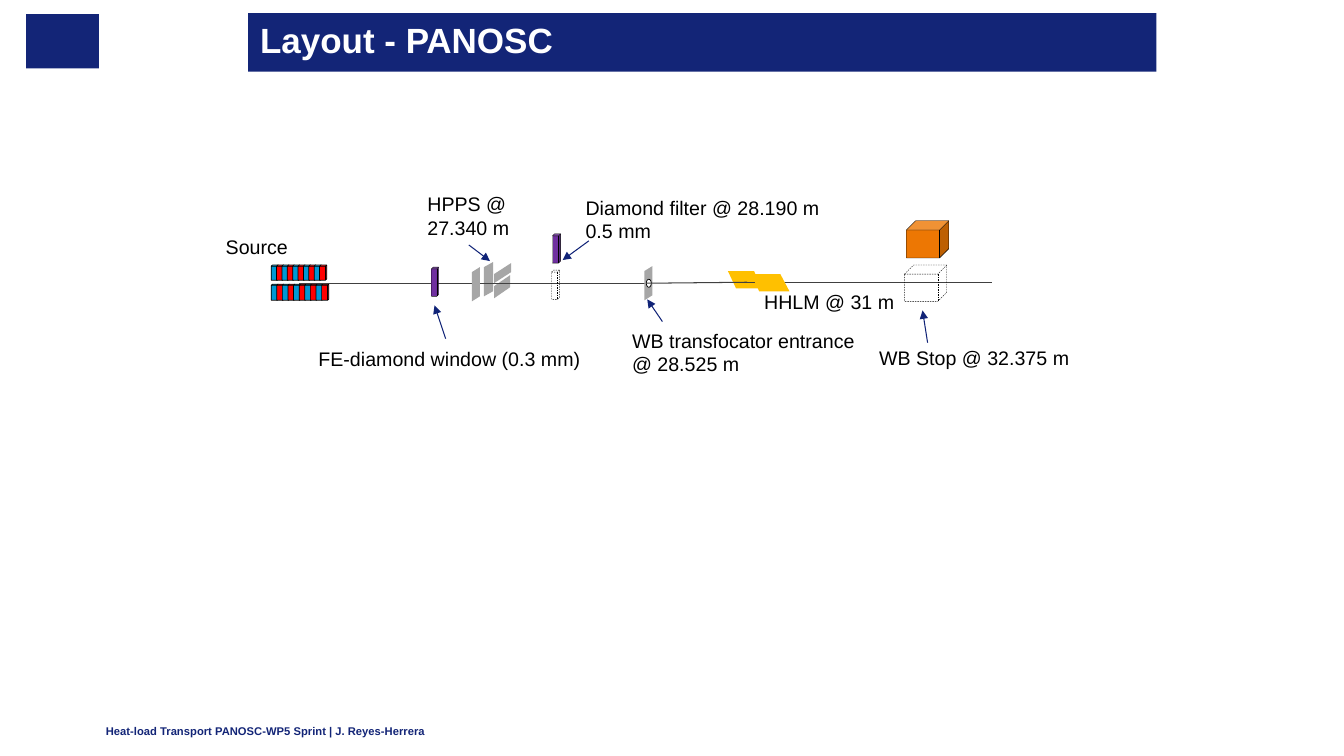
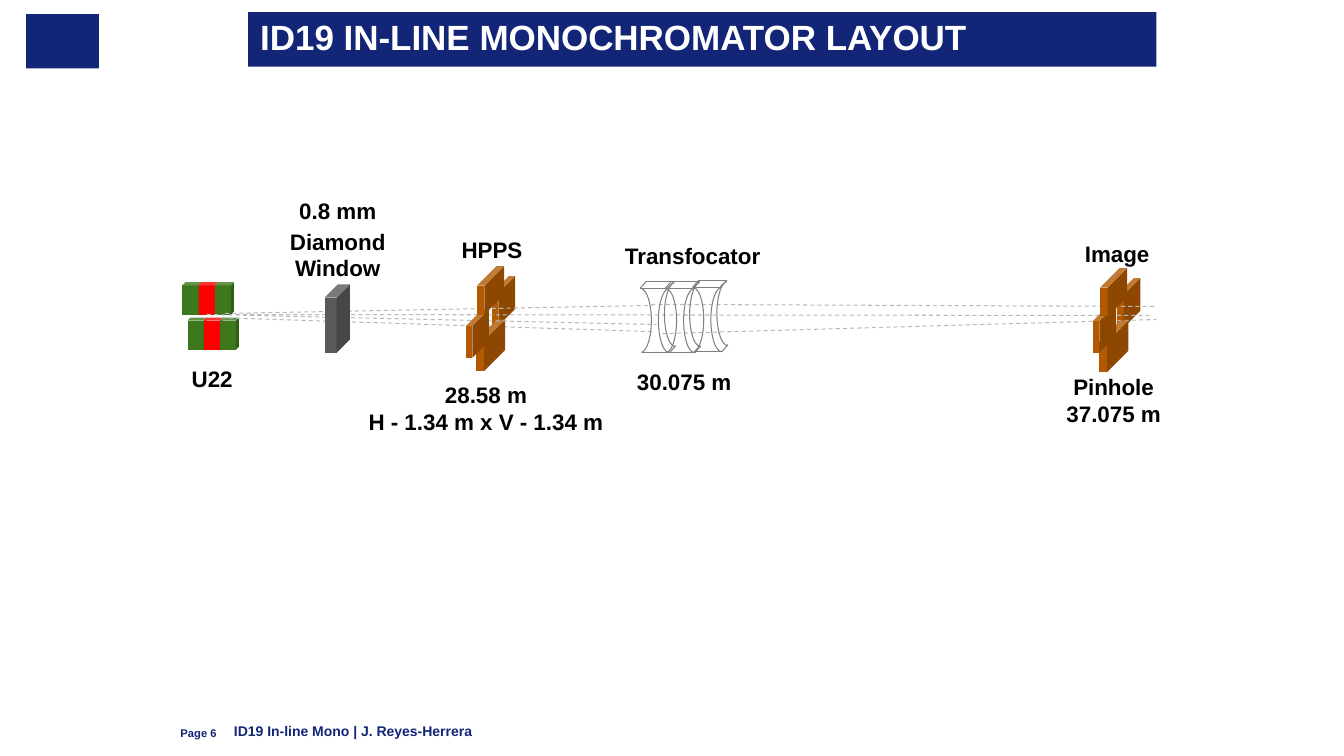
from lxml.etree import SubElement
from pptx import Presentation
from pptx.dml.color import RGBColor
from pptx.enum.dml import MSO_LINE
from pptx.enum.shapes import MSO_CONNECTOR, MSO_SHAPE
from pptx.enum.text import MSO_ANCHOR, MSO_AUTO_SIZE, PP_ALIGN
from pptx.oxml.ns import qn
from pptx.util import Inches, Pt

FONT = "Arial"
NAVY = "132577"
ARROW_NAVY = "102377"
BLACK = "000000"
WHITE = "FFFFFF"
RED = "FF0000"
BLUE = "0098D4"
GREEN = "3D781C"
PURPLE = "7030A0"
ORANGE = "ED7703"
COPPER = "B25902"
GOLD = "FFC000"
SLIT_GREY = "A6A6A6"
LENS_GREY = "808080"
BEAM_GREY = "404040"
RAY_GREY = "B7B9BA"
WINDOW_GREY = "595959"


def color(value):
    return RGBColor.from_string(value)


def paint(shape, fill=None, line=None, width=0.25, dashed=False):
    shape.shadow.inherit = False
    if fill:
        shape.fill.solid()
        shape.fill.fore_color.rgb = color(fill)
    else:
        shape.fill.background()
    if line:
        shape.line.color.rgb = color(line)
        shape.line.width = Pt(width)
        if dashed:
            shape.line.dash_style = MSO_LINE.DASH
    else:
        shape.line.fill.background()
    return shape


def add_preset(shapes, kind, at, fill=None, adjustments=(), **outline):
    shape = shapes.add_shape(kind, *map(Inches, at))
    for index, value in enumerate(adjustments):
        shape.adjustments[index] = value
    return paint(shape, fill, **outline)


def add_cube(shapes, at, fill=None, depth=0.25, **outline):
    return add_preset(shapes, MSO_SHAPE.CUBE, at, fill, (depth,), **outline)


def add_polygon(shapes, points, fill):
    corners = [(Inches(x), Inches(y)) for x, y in points]
    builder = shapes.build_freeform(*corners[0])
    builder.add_line_segments(corners[1:], close=True)
    return paint(builder.convert_to_shape(), fill)


def add_line(shapes, start, end, line, dashed=False, arrow=False):
    connector = shapes.add_connector(
        MSO_CONNECTOR.STRAIGHT, *map(Inches, (*start, *end)))
    connector.line.color.rgb = color(line)
    connector.line.width = Pt(0.75)
    if dashed:
        connector.line.dash_style = MSO_LINE.DASH
    if arrow:
        outline = connector.line._get_or_add_ln()
        SubElement(outline, qn("a:tailEnd"), type="triangle")
    SubElement(connector._element.spPr, qn("a:effectLst"))
    return connector


def add_text(page, at, lines, size, ink=BLACK, bold=False,
             align=PP_ALIGN.LEFT, insets=(0.1, 0.05, 0, 0.05),
             anchor=MSO_ANCHOR.TOP):
    box = page.shapes.add_textbox(*map(Inches, at))
    frame = box.text_frame
    frame.word_wrap = True
    frame.vertical_anchor = anchor
    (frame.margin_left, frame.margin_top,
     frame.margin_right, frame.margin_bottom) = map(Inches, insets)
    frame.text = "\n".join(lines)
    for para in frame.paragraphs:
        para.alignment = align
        set_font(para, size, ink, bold)
    return box


def set_font(para, size, ink, bold):
    para.font.name = FONT
    para.font.size = Pt(size)
    para.font.bold = bold
    para.font.color.rgb = color(ink)


def add_caption(page, at, *lines):
    add_text(page, at, lines, 16, bold=True, align=PP_ALIGN.CENTER,
             insets=(0, 0.05, 0, 0.05))


def add_footer(page, at, text, size):
    add_text(page, at, [text], size, NAVY, True, insets=(0, 0, 0, 0),
             anchor=MSO_ANCHOR.BOTTOM)


def start_page(deck, title, top, height):
    page = deck.slides.add_slide(deck.slide_layouts.get_by_name("Title Only"))
    add_preset(page.shapes, MSO_SHAPE.RECTANGLE, (0.26, 0.14, 0.72, 0.54), NAVY)
    band = page.shapes.title
    band.left, band.top, band.width, band.height = map(
        Inches, (2.46, top, 9.01, height))
    band.fill.solid()
    band.fill.fore_color.rgb = color(NAVY)
    frame = band.text_frame
    frame.auto_size = MSO_AUTO_SIZE.NONE
    frame.word_wrap = True
    frame.vertical_anchor = MSO_ANCHOR.MIDDLE
    frame.margin_left = frame.margin_right = Inches(0.12)
    frame.margin_top = frame.margin_bottom = 0
    frame.text = title
    para = frame.paragraphs[0]
    para.alignment = PP_ALIGN.LEFT
    para.line_spacing = 0.85
    set_font(para, 25, WHITE, True)
    return page


def add_magnet_row(page, left, top, size, pitch, fills, **outline):
    row = page.shapes.add_group_shape().shapes
    for index, fill in enumerate(fills):
        add_cube(row, (left + index * pitch, top, *size), fill, 0.159, **outline)


def add_slit_blade(shapes, left, top, width, height, rise):
    right = left + width
    add_polygon(shapes, [(left, top + rise), (right, top),
                         (right, top + height), (left, top + rise + height)],
                SLIT_GREY)


def add_lens(page, left, top):
    lens = page.shapes.add_group_shape().shapes
    for x, y, turn in ((0, 0, 0), (0.29, 0, 180), (0.35, -0.06, 180)):
        arc = add_preset(lens, MSO_SHAPE.ARC, (left + x, top + y, 0.22, 0.64),
                         adjustments=(162, 52.68), line=LENS_GREY, width=0.75)
        arc.rotation = turn
    edges = (
        ((0.11, 0), (0.39, 0)),
        ((0.13, 0.64), (0.4, 0.64)),
        ((0.17, -0.07), (0.45, -0.07)),
        ((0.11, 0), (0.17, -0.07)),
        ((0.38, 0), (0.45, -0.07)),
        ((0.4, 0.64), (0.46, 0.57)),
    )
    for start, end in edges:
        add_line(lens, (left + start[0], top + start[1]),
                 (left + end[0], top + end[1]), LENS_GREY)


def add_copper_blocks(page, blocks):
    for at in blocks:
        add_cube(page.shapes, at, COPPER, 0.719)


def add_rays(page, rays):
    for start, end in rays:
        add_line(page.shapes, start, end, RAY_GREY, dashed=True)


def build_panosc_layout(deck):
    page = start_page(deck, "Layout - PANOSC", 0.13, 0.58)
    shapes = page.shapes
    add_footer(page, (1.05, 7.09, 8.92, 0.23),
               "Heat-load Transport PANOSC-WP5 Sprint | J. Reyes-Herrera", 8)

    add_polygon(shapes, [(7.22, 2.69), (7.48, 2.69), (7.55, 2.86), (7.3, 2.86)],
                GOLD)
    for top, height, reach in ((2.63, 0.15, 0.48), (2.82, 0.16, 0.5)):
        add_magnet_row(page, 2.69, top, (0.07, height), reach / 9,
                       [BLUE, RED] * 5, line=BLACK, width=0.5)
    add_slit_blade(shapes, 4.8, 2.6, 0.09, 0.29, 0.05)
    add_slit_blade(shapes, 4.9, 2.73, 0.16, 0.12, 0.11)
    add_line(shapes, (2.97, 2.81), (6.41, 2.81), BEAM_GREY)
    add_slit_blade(shapes, 4.68, 2.65, 0.08, 0.29, 0.05)
    add_slit_blade(shapes, 4.9, 2.61, 0.17, 0.09, 0.11)
    add_line(shapes, (7.39, 2.8), (9.84, 2.8), BEAM_GREY)
    add_slit_blade(shapes, 6.39, 2.64, 0.08, 0.29, 0.05)
    add_preset(shapes, MSO_SHAPE.OVAL, (6.41, 2.77, 0.05, 0.08), WHITE,
               line=BLACK, width=0.5)
    add_line(shapes, (6.41, 2.81), (7.41, 2.8), BEAM_GREY)
    add_polygon(shapes, [(7.45, 2.72), (7.74, 2.72), (7.83, 2.89), (7.53, 2.89)],
                GOLD)

    cubes = (
        ((4.28, 2.65, 0.07, 0.29), PURPLE),
        ((5.48, 2.32, 0.08, 0.29), PURPLE),
        ((5.47, 2.68, 0.08, 0.29), None),
        ((8.99, 2.19, 0.42, 0.37), ORANGE),
        ((8.97, 2.63, 0.42, 0.36), None),
    )
    for at, fill in cubes:
        add_cube(shapes, at, fill, line=BLACK, dashed=fill is None)

    labels = (
        ((2.14, 2.28, 0.82, 0.34), "Source"),
        ((3.06, 3.39, 2.86, 0.34), "FE-diamond window (0.3 mm)"),
        ((5.71, 1.89, 2.6, 0.57), "Diamond filter @ 28.190 m", "0.5 mm"),
        ((7.48, 2.83, 1.52, 0.34), "HHLM @ 31 m"),
        ((6.17, 3.21, 2.42, 0.57), "WB transfocator entrance", "@ 28.525 m"),
        ((8.62, 3.38, 2.1, 0.34), "WB Stop @ 32.375 m"),
    )
    for at, *lines in labels:
        add_text(page, at, lines, 14)
    slits_label = add_text(page, (4.14, 1.86, 1.02, 0.57),
                           ["HPPS @", "27.340 m"], 14)

    arrows = (
        ((4.42, 3.36), (4.31, 3.03)),
        ((5.84, 2.39), (5.58, 2.58)),
        ((6.57, 3.19), (6.42, 2.97)),
        ((9.2, 3.4), (9.15, 3.08)),
    )
    for start, end in arrows:
        add_line(shapes, start, end, ARROW_NAVY, arrow=True)
    slits_arrow = add_line(shapes, (4.65, 2.43), (4.86, 2.59), ARROW_NAVY,
                           arrow=True)
    slits_arrow.begin_connect(slits_label, 2)


def build_monochromator_layout(deck):
    page = start_page(deck, "ID19 IN-LINE MONOCHROMATOR LAYOUT", 0.12, 0.54)
    add_footer(page, (1.79, 7.11, 0.45, 0.23), "Page 6", 8)
    add_footer(page, (2.32, 7.11, 6.69, 0.23),
               "ID19 In-line Mono | J. Reyes-Herrera", 10)

    add_copper_blocks(page, [(11.08, 2.76, 0.23, 0.49), (4.88, 2.74, 0.23, 0.49)])
    magnets = [GREEN, RED, GREEN]
    add_magnet_row(page, 1.86, 3.15, (0.19, 0.32), 0.16, magnets)
    add_rays(page, [((2.05, 3.12), (11.4, 3.13))])
    add_magnet_row(page, 1.81, 2.8, (0.19, 0.32), 0.16, magnets)
    add_rays(page, [
        ((2.13, 3.15), (6.47, 3.29)),
        ((2.23, 3.11), (6.47, 3.03)),
        ((6.46, 3.02), (11.47, 3.04)),
        ((6.57, 3.31), (11.47, 3.17)),
    ])
    for left, top in ((6.24, 2.86), (6.49, 2.86), (6.76, 2.85)):
        add_lens(page, left, top)
    add_copper_blocks(page, [(4.72, 3.17, 0.29, 0.51)])
    add_rays(page, [((2.05, 3.12), (6.51, 3.22))])
    add_copper_blocks(page, [
        (4.62, 3.07, 0.23, 0.48),
        (4.73, 2.64, 0.27, 0.48),
        (10.9, 3.18, 0.29, 0.51),
        (10.84, 3.02, 0.23, 0.48),
        (10.91, 2.66, 0.27, 0.48),
    ])
    add_cube(page.shapes, (3.22, 2.82, 0.25, 0.68), WINDOW_GREY, 0.526)

    captions = (
        ((1.51, 3.57, 1.19, 0.37), "U22"),
        ((2.5, 1.91, 1.7, 0.37), "0.8 mm"),
        ((2.5, 2.21, 1.7, 0.64), "Diamond", "Window"),
        ((4.03, 2.29, 1.7, 0.37), "HPPS"),
        ((3.42, 3.73, 2.8, 0.64), "28.58 m", "H - 1.34 m x V - 1.34 m"),
        ((6.02, 2.35, 1.7, 0.37), "Transfocator"),
        ((6.19, 3.6, 1.19, 0.37), "30.075 m"),
        ((10.64, 2.33, 0.88, 0.37), "Image"),
        ((10.45, 3.65, 1.19, 0.64), "Pinhole", "37.075 m"),
    )
    for at, *lines in captions:
        add_caption(page, at, *lines)


def main():
    deck = Presentation()
    deck.slide_width, deck.slide_height = Inches(13.33), Inches(7.5)
    build_panosc_layout(deck)
    build_monochromator_layout(deck)
    deck.save("out.pptx")


if __name__ == "__main__":
    main()
